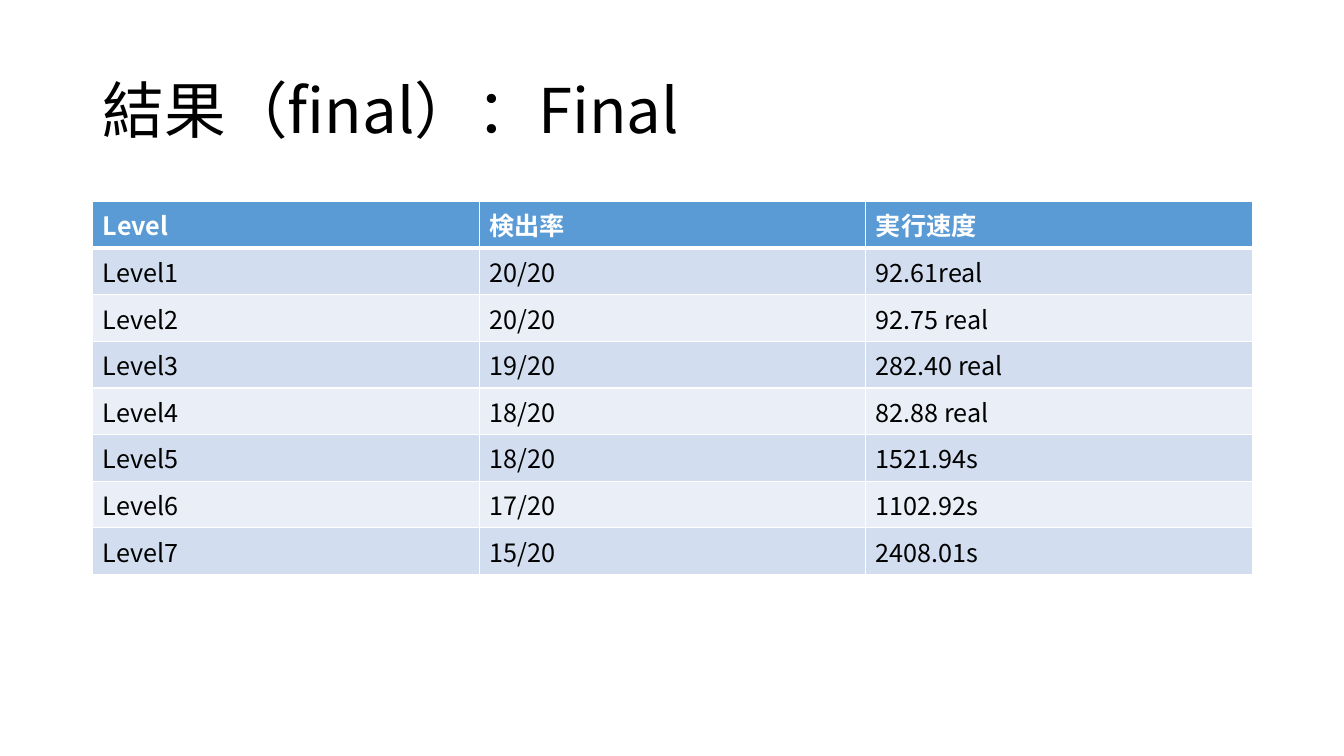
import pptx
import pptx.dml.color
import pptx.enum.text
import pptx.oxml
import pptx.oxml.ns
import pptx.util
from pptx.util import Inches

FONT = "Noto Sans CJK JP"
HEAD = ["Level", "検出率", "実行速度"]
RATES = ["20/20", "20/20", "19/20", "18/20", "18/20", "17/20", "15/20"]
TIMES = ["92.61real", "92.75 real", "282.40 real", "82.88 real",
         "1521.94s", "1102.92s", "2408.01s"]


def color(code):
    return pptx.dml.color.RGBColor.from_string(code)


def style(para, size, code, bold=False):
    font = para.font
    font.size, font.bold, font.name = pptx.util.Pt(size), bold, FONT
    font.color.rgb = color(code)
    # East Asian typeface
    base = para._p.pPr.find(pptx.oxml.ns.qn("a:defRPr"))
    base.append(pptx.oxml.parse_xml(
        f'<a:ea {pptx.oxml.ns.nsdecls("a")} typeface="{FONT}"/>'))


def border(cell, top, bottom):
    props = cell._tc.get_or_add_tcPr()
    for side, width in (("L", 1), ("R", 1), ("T", top), ("B", bottom)):
        props.append(pptx.oxml.parse_xml(
            f'<a:ln{side} {pptx.oxml.ns.nsdecls("a")} w="{pptx.util.Pt(width)}">'
            f'<a:solidFill><a:srgbClr val="FFFFFF"/></a:solidFill></a:ln{side}>'))


def add_title(slide, text, left, top, width, height):
    title = slide.shapes.title
    title.left, title.top = Inches(left), Inches(top)
    title.width, title.height = Inches(width), Inches(height)
    frame = title.text_frame
    frame.text = text
    frame.word_wrap = True
    frame.vertical_anchor = pptx.enum.text.MSO_ANCHOR.MIDDLE
    para = frame.paragraphs[0]
    para.alignment = pptx.enum.text.PP_ALIGN.LEFT
    para.line_spacing = 0.9
    style(para, 44, "000000")


def add_grid(slide, rows, left, top, width, height):
    grid = slide.shapes.add_table(
        len(rows), len(rows[0]), Inches(left), Inches(top),
        Inches(width), Inches(height)).table
    for r, row in enumerate(rows):
        # Header row, then alternating bands
        fill = "5B9BD5" if r == 0 else "D2DEEF" if r % 2 else "EAEFF7"
        for c, text in enumerate(row):
            cell = grid.cell(r, c)
            cell.text = text
            border(cell, 3 if r == 1 else 1, 3 if r == 0 else 1)
            cell.fill.solid()
            cell.fill.fore_color.rgb = color(fill)
            style(cell.text_frame.paragraphs[0], 18,
                  "000000" if r else "FFFFFF", r == 0)


def main():
    deck = pptx.Presentation()
    deck.slide_width, deck.slide_height = Inches(13.33), Inches(7.5)
    slide = deck.slides.add_slide(deck.slide_layouts.get_by_name("Title Only"))
    add_title(slide, "結果（final）：Final", 0.92, 0.4, 11.5, 1.45)
    body = [[f"Level{n}", rate, time]
            for n, (rate, time) in enumerate(zip(RATES, TIMES), 1)]
    add_grid(slide, [HEAD] + body, 0.92, 2, 11.5, 3.24)
    deck.save("out.pptx")


if __name__ == "__main__":
    main()
